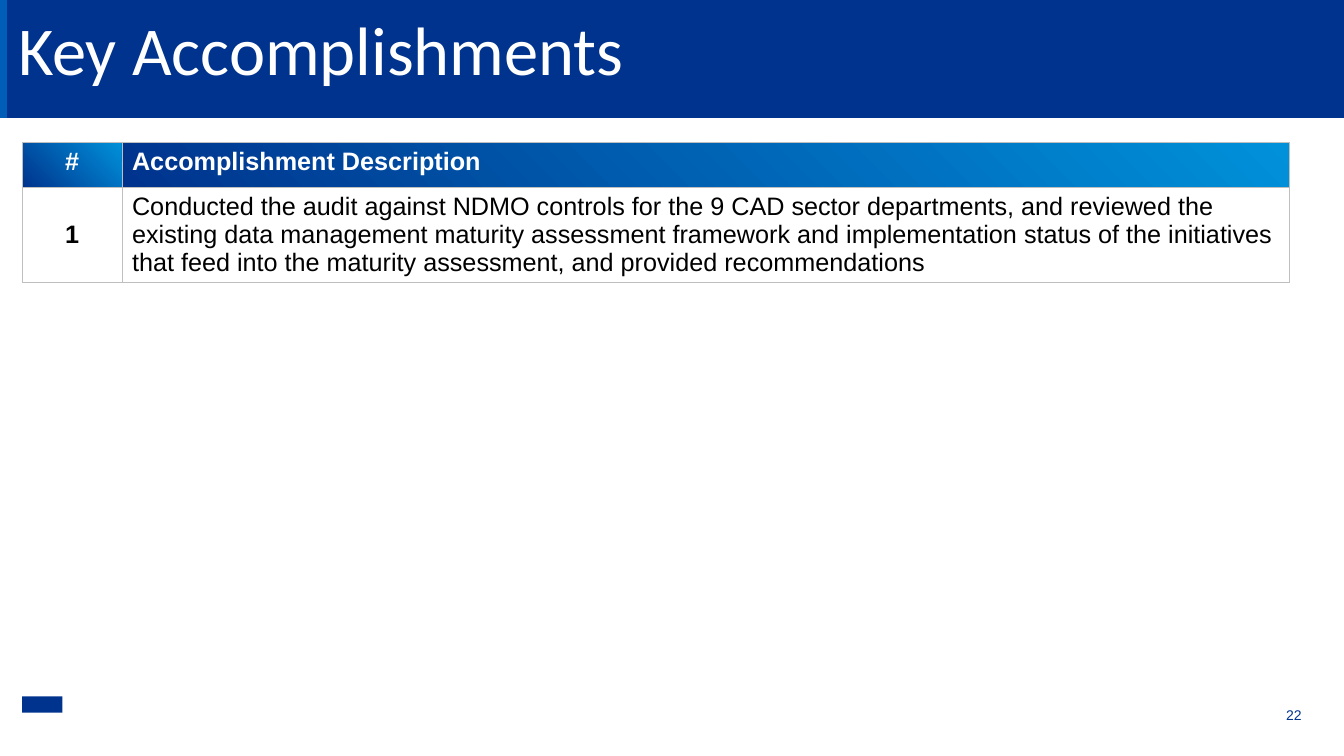
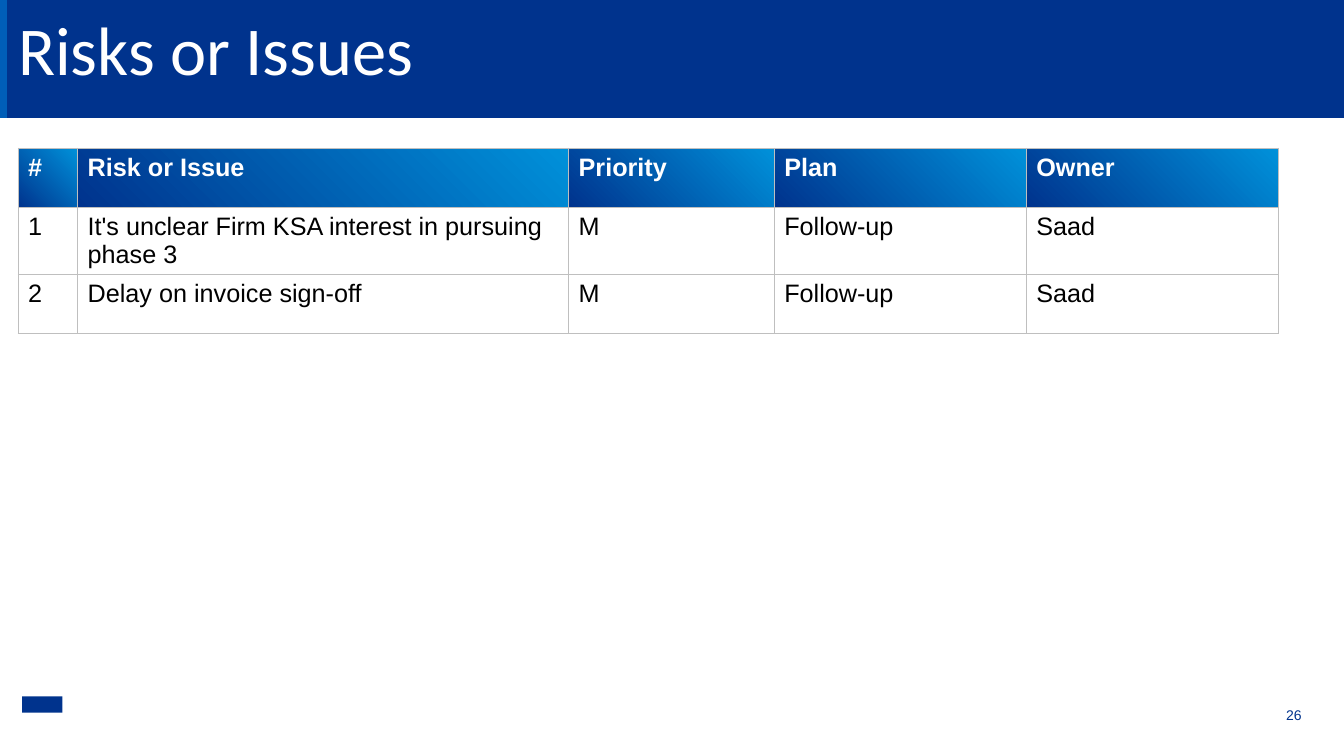
from dataclasses import dataclass

from lxml import etree
from pptx import Presentation
from pptx.dml.color import RGBColor
from pptx.enum.shapes import MSO_SHAPE
from pptx.enum.text import MSO_ANCHOR, MSO_AUTO_SIZE, PP_ALIGN
from pptx.oxml.ns import qn
from pptx.util import Inches, Pt

RECTANGLE = MSO_SHAPE.RECTANGLE
LEFT, CENTER, RIGHT = PP_ALIGN.LEFT, PP_ALIGN.CENTER, PP_ALIGN.RIGHT
TOP, MIDDLE, BOTTOM = MSO_ANCHOR.TOP, MSO_ANCHOR.MIDDLE, MSO_ANCHOR.BOTTOM
NO_AUTOFIT = MSO_AUTO_SIZE.NONE
TITLE_ONLY = 5


@dataclass(frozen=True)
class Theme:
    navy: str = "00338D"
    blue: str = "005EB8"
    sky: str = "0091DA"
    white: str = "FFFFFF"
    black: str = "000000"
    grid: str = "BFBFBF"
    title_font: str = "Calibri"
    body_font: str = "Arial"
    title_size: float = 48.9
    table_size: float = 18
    number_size: float = 10
    grid_width: float = 0.5
    gradient_angle: int = 45


THEME = Theme()

# Content: the first row of each table is its header
SLIDES = [
    {
        "title": "Key Accomplishments",
        "number": "22",
        "origin": (0.22, 1.41),
        "columns": [0.99, 11.58],
        "row_heights": [0.45, 0.9],
        "rows": [
            ["#", "Accomplishment Description"],
            ["1", "Conducted the audit against NDMO controls for the 9 CAD sector "
                  "departments, and reviewed the existing data management maturity "
                  "assessment framework and implementation status of the initiatives "
                  "that feed into the maturity assessment, and provided recommendations"],
        ],
        "index_format": {"alignment": CENTER, "bold": True},
        "body_anchor": MIDDLE,
    },
    {
        "title": "Risks or Issues",
        "number": "26",
        "origin": (0.18, 1.47),
        "columns": [0.59, 4.87, 2.04, 2.5, 2.5],
        "row_heights": [0.59, 0.59, 0.59],
        "rows": [
            ["#", "Risk or Issue", "Priority", "Plan", "Owner"],
            ["1", "It's unclear Firm KSA interest in pursuing phase 3", "M", "Follow-up", "Saad"],
            ["2", "Delay on invoice sign-off", "M", "Follow-up", "Saad"],
        ],
        "index_format": {"alignment": LEFT, "bold": False},
        "body_anchor": TOP,
    },
]

# Shared parts: left, top, width, height
BAND_BOX = (0, -0.01, 13.33, 1.18)
ACCENT_BOX = (0, -0.01, 0.07, 1.18)
MARK_BOX = (0.22, 6.91, 0.4, 0.16)
TITLE_BOX = (0.18, 0.29, 8.92, 0.46)
NUMBER_BOX = (11.16, 7.02, 1.75, 0.16)


def set_attributes(target, values):
    for name, value in values.items():
        setattr(target, name, value)


def write_text(text_frame, text, font, size, color, alignment=LEFT, bold=False, spacing=None):
    text_frame.text = text
    paragraph = text_frame.paragraphs[0]
    set_attributes(paragraph, {"alignment": alignment, "line_spacing": spacing})
    set_attributes(paragraph.font, {"name": font, "size": Pt(size), "bold": bold})
    paragraph.font.color.rgb = RGBColor.from_string(color)


def format_frame(text_frame, anchor):
    set_attributes(text_frame, {
        "margin_left": 0, "margin_top": 0, "margin_right": 0, "margin_bottom": 0,
        "word_wrap": True, "auto_size": NO_AUTOFIT, "vertical_anchor": anchor,
    })


def add_block(slide, box, color):
    shape = slide.shapes.add_shape(RECTANGLE, *map(Inches, box))
    shape.shadow.inherit = False
    shape.fill.solid()
    shape.fill.fore_color.rgb = RGBColor.from_string(color)
    shape.line.fill.background()


def add_frame(slide, title_text, number):
    """Band, title, accent, corner mark and slide number."""
    add_block(slide, MARK_BOX, THEME.navy)
    add_block(slide, BAND_BOX, THEME.navy)

    # The title sits in front of the band
    title = slide.shapes.title
    slide.shapes.element.append(title.element)
    set_attributes(title, dict(zip(("left", "top", "width", "height"), map(Inches, TITLE_BOX))))
    format_frame(title.text_frame, TOP)
    write_text(title.text_frame, title_text, THEME.title_font, THEME.title_size,
               THEME.white, spacing=0.7)

    add_block(slide, ACCENT_BOX, THEME.blue)
    number_box = slide.shapes.add_textbox(*map(Inches, NUMBER_BOX))
    format_frame(number_box.text_frame, BOTTOM)
    write_text(number_box.text_frame, number, THEME.body_font, THEME.number_size,
               THEME.navy, RIGHT)


def add_borders(cell):
    properties = cell._tc.get_or_add_tcPr()
    for side in ("a:lnL", "a:lnR", "a:lnT", "a:lnB"):
        line = etree.SubElement(properties, qn(side), w=str(Pt(THEME.grid_width)))
        fill = etree.SubElement(line, qn("a:solidFill"))
        etree.SubElement(fill, qn("a:srgbClr"), val=THEME.grid)


def fill_header(cell):
    cell.fill.gradient()
    cell.fill.gradient_angle = THEME.gradient_angle
    for stop, color in zip(cell.fill.gradient_stops, (THEME.navy, THEME.sky)):
        stop.color.rgb = RGBColor.from_string(color)


def add_grid(slide, content):
    columns, heights = content["columns"], content["row_heights"]
    box = (*content["origin"], sum(columns), sum(heights))
    table = slide.shapes.add_table(len(heights), len(columns), *map(Inches, box)).table
    table.horz_banding = False
    for column, width in zip(table.columns, columns):
        column.width = Inches(width)
    for row, height in zip(table.rows, heights):
        row.height = Inches(height)

    for row_index, texts in enumerate(content["rows"]):
        is_header = row_index == 0
        for column_index, text in enumerate(texts):
            cell = table.cell(row_index, column_index)
            text_format = dict(content["index_format"]) if column_index == 0 else {}
            add_borders(cell)
            if is_header:
                text_format["bold"] = True
                fill_header(cell)
            else:
                cell.fill.background()
            cell.vertical_anchor = TOP if is_header else content["body_anchor"]
            write_text(cell.text_frame, text, THEME.body_font, THEME.table_size,
                       THEME.white if is_header else THEME.black, **text_format)


def main():
    presentation = Presentation()
    presentation.slide_width, presentation.slide_height = Inches(13.33), Inches(7.5)
    for content in SLIDES:
        slide = presentation.slides.add_slide(presentation.slide_layouts[TITLE_ONLY])
        add_frame(slide, content["title"], content["number"])
        add_grid(slide, content)
    presentation.save("out.pptx")


if __name__ == "__main__":
    main()
